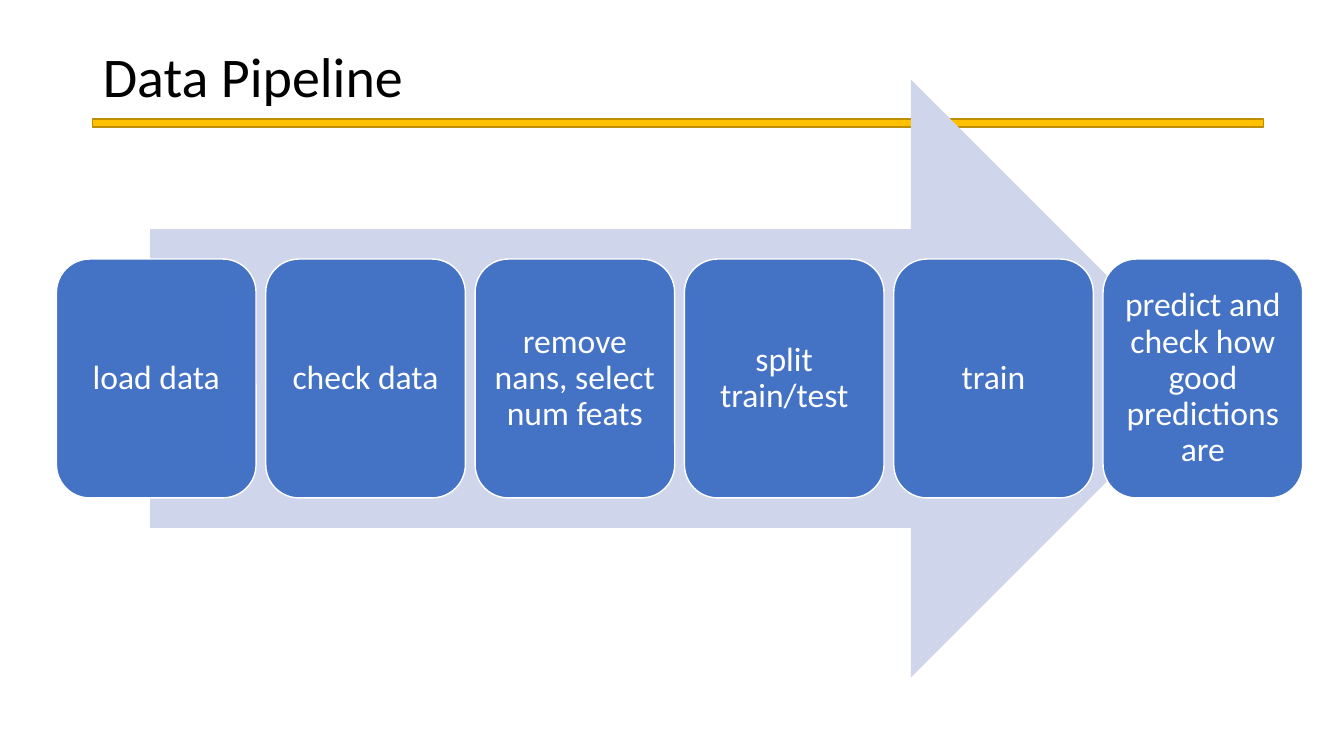
import pptx
import pptx.util
import pptx.dml.color
import pptx.enum.shapes
import pptx.enum.text

Inches, Pt = pptx.util.Inches, pptx.util.Pt
MSO = pptx.enum.shapes.MSO_SHAPE
ALIGN = pptx.enum.text.PP_ALIGN
MIDDLE = pptx.enum.text.MSO_ANCHOR.MIDDLE

STEPS = [
    "load data",
    "check data",
    "remove nans, select num feats",
    "split train/test",
    "train",
    "predict and check how good predictions are",
]
STEP_LEFT, STEP_TOP, STEP_W, STEP_H = 0.56, 2.57, 1.98, 2.37
STEP_PITCH = 2.076


def add_block(shapes, kind, box, fill, line=None):
    """Add a flat preset shape; box is left, top, width, height in inches."""
    sp = shapes.add_shape(kind, *map(Inches, box))
    sp.shadow.inherit = False
    sp.fill.solid()
    sp.fill.fore_color.rgb = pptx.dml.color.RGBColor.from_string(fill)
    if line:
        sp.line.color.rgb = pptx.dml.color.RGBColor.from_string(line)
        sp.line.width = Pt(1)
    else:
        sp.line.fill.background()
    return sp


def set_text(sp, text, size, color, align, inset):
    """Write one vertically centred paragraph; inset is (sides, top and bottom)."""
    tf = sp.text_frame
    side, edge = map(Inches, inset)
    frame = dict(word_wrap=True, vertical_anchor=MIDDLE, margin_left=side,
                 margin_right=side, margin_top=edge, margin_bottom=edge)
    for name, value in frame.items():
        setattr(tf, name, value)
    p = tf.paragraphs[0]
    p.alignment = align
    p.line_spacing = 0.9
    r = p.add_run()
    r.text = text
    r.font.name = "Calibri"
    r.font.size = Pt(size)
    r.font.color.rgb = pptx.dml.color.RGBColor.from_string(color)


prs = pptx.Presentation()
prs.slide_width, prs.slide_height = Inches(13.33), Inches(7.5)
slide = prs.slides.add_slide(prs.slide_layouts[5])

title = slide.shapes.title
for name, value in dict(left=0.92, top=0.4, width=11.5, height=0.78).items():
    setattr(title, name, Inches(value))
set_text(title, "Data Pipeline", 40, "000000", ALIGN.LEFT, (0.1, 0.05))

add_block(slide.shapes, MSO.RECTANGLE, (0.92, 1.18, 11.61, 0.08), "FFC000", "BD8E00")

pipeline = slide.shapes.add_group_shape()
add_block(pipeline.shapes, MSO.RIGHT_ARROW, (1.49, 0.79, 10.51, 5.93), "CFD5EA")
for i, step in enumerate(STEPS):
    box = (STEP_LEFT + i * STEP_PITCH, STEP_TOP, STEP_W, STEP_H)
    sp = add_block(pipeline.shapes, MSO.ROUNDED_RECTANGLE, box, "4472C4", "FFFFFF")
    set_text(sp, step, 24, "FFFFFF", ALIGN.CENTER, (0.1, 0.1))

prs.save("out.pptx")
